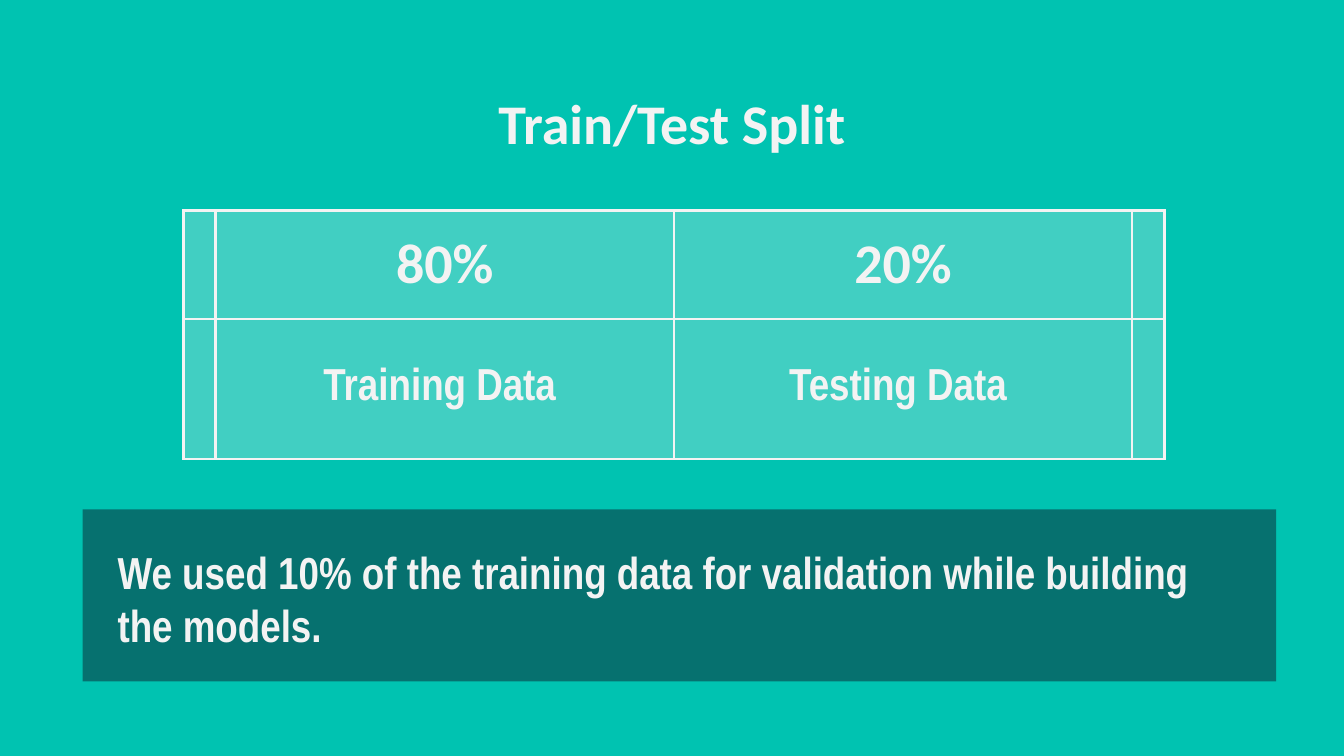
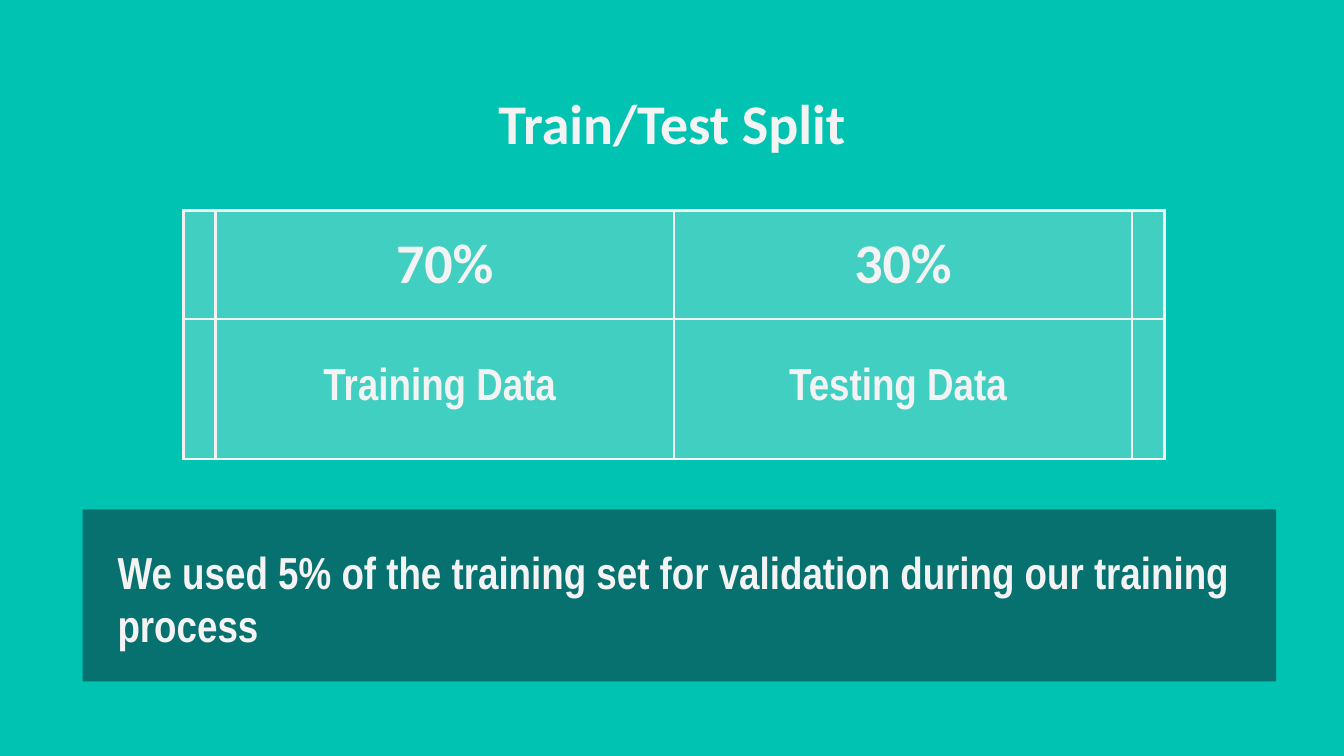
"""Build two slides that show how the data was split for training and testing."""
from typing import NamedTuple

from lxml.etree import SubElement
from pptx import Presentation
from pptx.dml.color import RGBColor as Rgb
from pptx.enum.shapes import MSO_SHAPE as Kind
from pptx.enum.text import MSO_ANCHOR as Anchor, MSO_AUTO_SIZE as Auto, PP_ALIGN as Align
from pptx.oxml import parse_xml
from pptx.oxml.ns import qn
from pptx.util import Emu, Pt

TEAL = Rgb(0x00, 0xC3, 0xB1)
PALE = Rgb(0xF3, 0xF3, 0xF3)
DEEP = Rgb(0x0C, 0x34, 0x3D)
HEAD, BODY = "Calibri", "Arial Narrow"
SCALE = 4572
PAD = 20
COLS = (46, 682, 682, 46)
ROWS = (162, 208)
NS = "http://schemas.openxmlformats.org/drawingml/2006/main"


class Split(NamedTuple):
    train: int
    note: str


SPLITS = (
    Split(80, "We used 10% of the training data for validation while building the models."),
    Split(70, "We used 5% of the training set for validation during our training process"),
)


def px(num: int) -> Emu:
    return Emu(num * SCALE)


def write(frame, text: str, *, size: int = 24, font: str = BODY, align=Align.CENTER) -> None:
    frame.word_wrap = True
    para = frame.paragraphs[0]
    para.alignment = align
    run = para.add_run()
    run.text = text
    run.font.name = font
    run.font.size = Pt(size)
    run.font.bold = True
    run.font.color.rgb = PALE


def inset(item, side: int, end: int) -> None:
    item.margin_left = item.margin_right = item.margin_top = px(side)
    item.margin_bottom = px(end)


def tint(fill, props, color: Rgb, part: int) -> None:
    fill.solid()
    fill.fore_color.rgb = color
    tone = props.find(qn("a:solidFill")).find(qn("a:srgbClr"))
    SubElement(tone, qn("a:alpha")).set("val", str(part * 1000))


def edge(props) -> None:
    for spot, side in enumerate(("lnL", "lnR", "lnT", "lnB")):
        props.insert(spot, parse_xml(
            f'<a:{side} xmlns:a="{NS}" w="{Pt(1.5)}"><a:solidFill>'
            f'<a:srgbClr val="{PALE}"/></a:solidFill></a:{side}>'))


def add_title(slide, text: str) -> None:
    title = slide.shapes.title
    title.left, title.top, title.width, title.height = map(px, (157, 112, 1686, 126))
    frame = title.text_frame
    frame.auto_size = Auto.NONE
    frame.vertical_anchor = Anchor.TOP
    inset(frame, PAD, PAD)
    write(frame, text, size=30, font=HEAD)


def add_grid(slide, split: Split) -> None:
    box = map(px, (273, 313, sum(COLS), sum(ROWS)))
    table = slide.shapes.add_table(len(ROWS), len(COLS), *box).table
    table.first_row = table.horz_banding = False
    for col, wide in zip(table.columns, COLS):
        col.width = px(wide)
    for row, high in zip(table.rows, ROWS):
        row.height = px(high)
    for cell in table.iter_cells():
        props = cell._tc.get_or_add_tcPr()
        tint(cell.fill, props, PALE, 27)
        edge(props)
    pairs = (("Training Data ", split.train), ("Testing Data ", 100 - split.train))
    for col, (name, part) in enumerate(pairs, 1):
        top, low = table.cell(0, col), table.cell(1, col)
        for cell in (top, low):
            cell.vertical_anchor = Anchor.MIDDLE
            inset(cell, PAD, PAD)
        write(top.text_frame, f"{part}%", size=30, font=HEAD)
        write(low.text_frame, name)


def add_note(slide, text: str) -> None:
    note = slide.shapes.add_shape(Kind.RECTANGLE, *map(px, (123, 758, 1776, 256)))
    note.shadow.inherit = False
    note.line.fill.background()
    tint(note.fill, note._element.spPr, DEEP, 57)
    frame = note.text_frame
    frame.vertical_anchor = Anchor.TOP
    inset(frame, 52, PAD)
    write(frame, text, align=Align.LEFT)


def main() -> None:
    deck = Presentation()
    deck.slide_width, deck.slide_height = px(2000), px(1125)
    back = deck.slide_master.background.fill
    back.solid()
    back.fore_color.rgb = TEAL
    for split in SPLITS:
        slide = deck.slides.add_slide(deck.slide_layouts[5])
        add_title(slide, "Train/Test Split")
        add_grid(slide, split)
        add_note(slide, split.note)
    deck.save("out.pptx")


if __name__ == "__main__":
    main()
